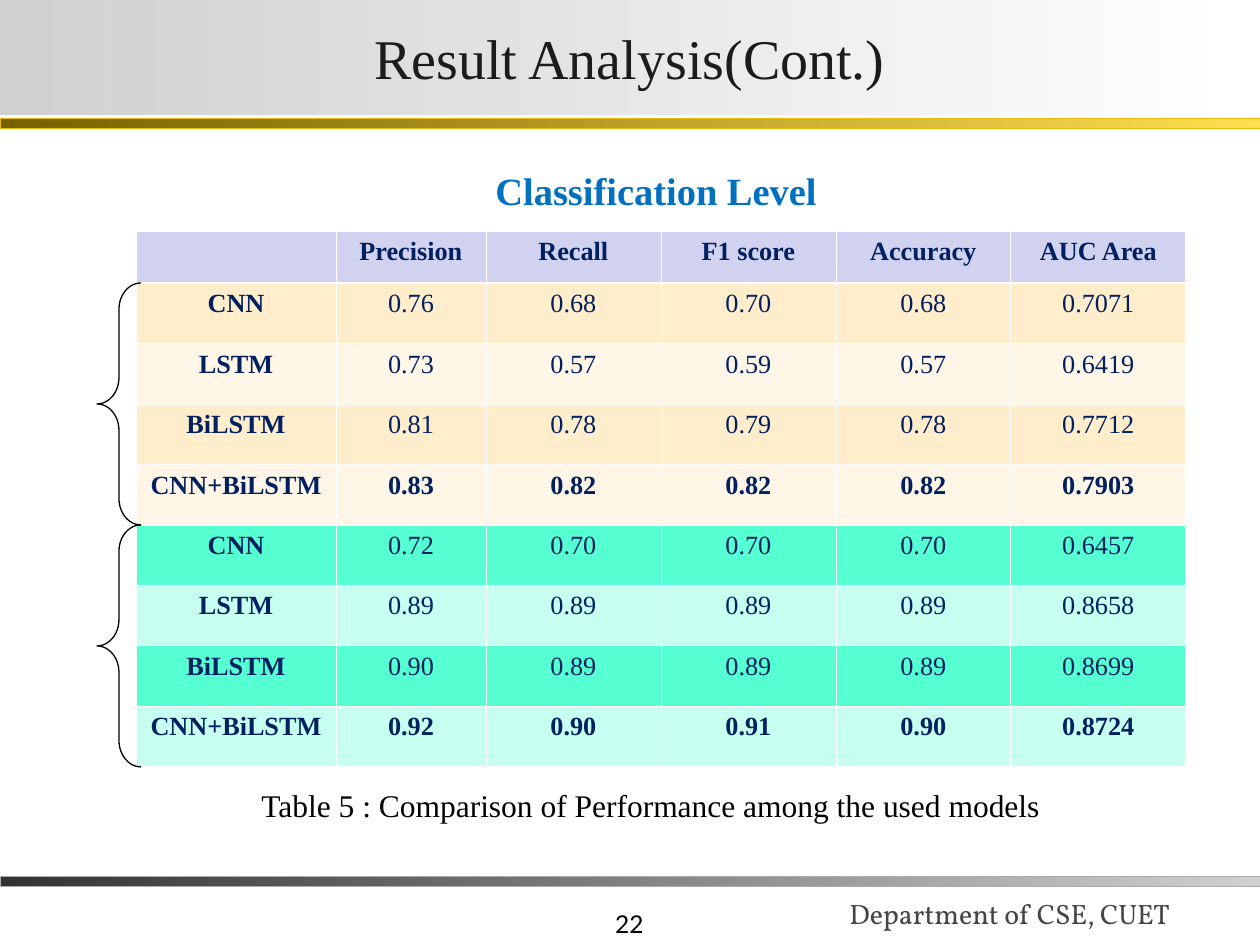
from lxml import etree
from pptx import Presentation
from pptx import util as u
from pptx.dml.color import RGBColor
from pptx.enum import shapes, text
from pptx.oxml.ns import qn

PX = 914400 / 126
SERIF = "Times New Roman"
HUE = {
    "ink": "000000", "title": "1C1C1C", "navy": "002060", "blue": "0070C0",
    "grey": "444444", "head": "D1D1F0", "edge": "FFFFFF",
}
BANDS = [("FFEDCB", "FFF6E7"), ("56FFD2", "C7FFF0")]


def emu(*vals):
    return [u.Emu(round(v * PX)) for v in vals]


def write(frame, words, size, hue, face=SERIF, bold=False, align=text.PP_ALIGN.LEFT):
    """Fill a text frame with one formatted paragraph."""
    para = frame.paragraphs[0]
    para.alignment = align
    run = para.add_run()
    run.text = words
    look = {"name": face, "size": u.Pt(size), "bold": bold}
    for key, val in look.items():
        setattr(run.font, key, val)
    run.font.color.rgb = RGBColor.from_string(HUE[hue])


deck = Presentation()
deck.slide_width, deck.slide_height = emu(1260, 945)
slide = deck.slides.add_slide(deck.slide_layouts[5])

# Title band and the two rules
title = slide.shapes.title
title.left, title.top, title.width, title.height = emu(0, 0, 1260, 115)
frame = title.text_frame
pads = {"margin_left": 3, "margin_right": 3, "margin_top": 1, "margin_bottom": 1}
for key, val in pads.items():
    setattr(frame, key, emu(val)[0])
frame.auto_size = text.MSO_AUTO_SIZE.NONE
frame.vertical_anchor = text.MSO_ANCHOR.MIDDLE
write(frame, "Result Analysis(Cont.)", 32, "title", align=text.PP_ALIGN.CENTER)

fades = [(title, "D0D0D0", "FFFFFF")]
for top, start, end, edge in [
    (876, "333333", "D0D0D0", "ABABAB"),
    (118, "766000", "FFDE53", "E8BC00"),
]:
    rule = slide.shapes.add_shape(shapes.MSO_SHAPE.RECTANGLE, *emu(0, top, 1260, 10))
    rule.shadow.inherit = False
    rule.line.color.rgb = RGBColor.from_string(edge)
    rule.line.width = u.Pt(0.25)
    fades.append((rule, start, end))

for shape, *ends in fades:
    shape.fill.gradient()
    shape.fill.gradient_angle = 0
    for stop, hue in zip(shape.fill.gradient_stops, ends):
        stop.color.rgb = RGBColor.from_string(hue)

# Results table
heads = ["", "Precision", "Recall", "F1 score", "Accuracy", "AUC Area"]
models = ["CNN", "LSTM", "BiLSTM", "CNN+BiLSTM"]
scores = [
    "0.76 0.68 0.70 0.68 0.7071",
    "0.73 0.57 0.59 0.57 0.6419",
    "0.81 0.78 0.79 0.78 0.7712",
    "0.83 0.82 0.82 0.82 0.7903",
    "0.72 0.70 0.70 0.70 0.6457",
    "0.89 0.89 0.89 0.89 0.8658",
    "0.90 0.89 0.89 0.89 0.8699",
    "0.92 0.90 0.91 0.90 0.8724",
]
left, top, head, group = 136, 231, 52, 242
size = len(models)
rows = [heads] + [[models[i % size], *line.split()] for i, line in enumerate(scores)]
wide = [200, 150, 175, 175, 175, 175]
table = slide.shapes.add_table(
    len(rows), len(wide), *emu(left, top, sum(wide), head + 2 * group)
).table
table.first_row = table.horz_banding = False
for col, span in zip(table.columns, emu(*wide)):
    col.width = span

for r, row in enumerate(rows):
    table.rows[r].height = emu(group / size if r else head)[0]
    hue = BANDS[(r - 1) // size][(r - 1) % 2] if r else HUE["head"]
    for c, words in enumerate(row):
        cell = table.cell(r, c)
        if words:
            bold = c == 0 or r % size == 0
            write(cell.text_frame, words, 15, "navy", bold=bold, align=text.PP_ALIGN.CENTER)
        props = cell._tc.get_or_add_tcPr()
        for side in "LRTB":
            thick = (r, side) in [(0, "B"), (1, "T")]
            line = etree.SubElement(props, qn(f"a:ln{side}"), w=str(u.Pt(1.47 if thick else 0.45)))
            fill = etree.SubElement(line, qn("a:solidFill"))
            etree.SubElement(fill, qn("a:srgbClr"), val=HUE["edge"])
        cell.fill.solid()
        cell.fill.fore_color.rgb = RGBColor.from_string(hue)

# One brace for each group of models
for k in range(len(BANDS)):
    brace = slide.shapes.add_shape(
        shapes.MSO_SHAPE.LEFT_BRACE, *emu(97, top + head + k * group, 44, group)
    )
    brace.shadow.inherit = False
    brace.adjustments[0] = 0.6
    brace.fill.background()
    brace.line.color.rgb = RGBColor.from_string(HUE["ink"])
    brace.line.width = u.Pt(0.75)

# Captions and footer
low, high = text.MSO_ANCHOR.BOTTOM, text.MSO_ANCHOR.TOP
for box, anchor, words, look in [
    ((394, 882, 262, 63), low, "22",
     dict(size=14, hue="ink", face="Lato", align=text.PP_ALIGN.RIGHT)),
    ((837, 857, 433, 79), low, "Department of CSE, CUET",
     dict(size=16, hue="grey", face="Vollkorn")),
    ((249, 780, 824, 50), high, "Table 5 : Comparison of Performance among the used models",
     dict(size=18, hue="ink")),
    ((483, 161, 498, 59), high, "Classification Level",
     dict(size=22, hue="blue", bold=True)),
]:
    frame = slide.shapes.add_textbox(*emu(*box)).text_frame
    frame.word_wrap = True
    frame.vertical_anchor = anchor
    write(frame, words, **look)

deck.save("out.pptx")
